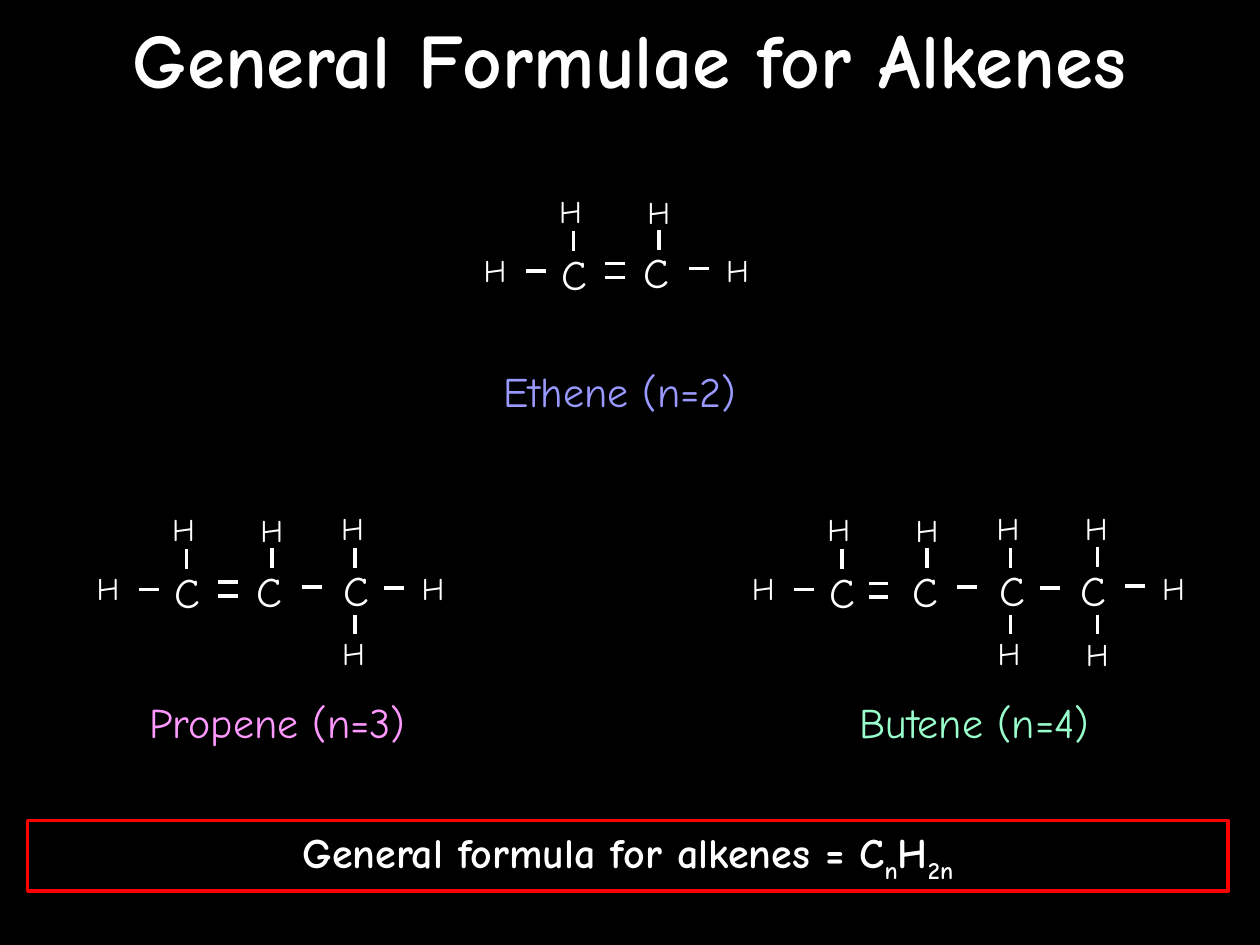
from lxml.etree import SubElement
from pptx import Presentation
from pptx.dml.color import RGBColor
from pptx.enum.shapes import MSO_CONNECTOR as CONN, MSO_SHAPE as SHAPE
from pptx.enum.text import MSO_ANCHOR as ANCHOR, PP_ALIGN as ALIGN
from pptx.oxml.ns import qn
from pptx.util import Cm, Pt

FONT, WHITE, BLACK, RED = "Comic Neue", "FFFFFF", "000000", "FF0000"
BOND = 0.4
CARBONS = [
    dict(atom=(1.57, -0.05), above=(1.52, -1.19), up=(2.06, -0.28)),
    dict(atom=(3.23, -0.08), above=(3.3, -1.17), up=(3.78, -0.3), right=(4.39, 0.48)),
    dict(atom=(4.98, -0.1), above=(4.93, -1.22), up=(5.46, -0.3), right=(6.05, 0.5), below=(4.95, 1.3)),
    dict(atom=(6.63, -0.1), above=(6.71, -1.22), up=(7.21, -0.33), right=(7.77, 0.46), below=(6.73, 1.32)),
]


def rgb(value):
    return RGBColor.from_string(value)


class Deck:
    """Draws styled text, bonds and molecules on the current slide."""

    def __init__(self, s):
        self.s = s
        self.shapes = s.shapes
        s.background.fill.solid()
        s.background.fill.fore_color.rgb = rgb(BLACK)

    def fill_text(self, sp, runs, size, color=WHITE, bold=False, align=ALIGN.CENTER, anchor=ANCHOR.TOP):
        tf = sp.text_frame
        tf.word_wrap = True
        tf.vertical_anchor = anchor
        p = tf.paragraphs[0]
        p.alignment = align
        p.font.name, p.font.size, p.font.bold = FONT, Pt(size), bold
        p.font.color.rgb = rgb(color)
        for text, subscript in runs:
            r = p.add_run()
            r.text = text
            if subscript:
                r._r.get_or_add_rPr().set("baseline", "-25000")

    def text(self, x, y, w, h, text, size, **style):
        sp = self.shapes.add_textbox(Cm(x), Cm(y), Cm(w), Cm(h))
        self.fill_text(sp, [(text, False)], size, **style)

    def frame(self, x, y, w, h, runs, size):
        sp = self.shapes.add_shape(SHAPE.RECTANGLE, Cm(x), Cm(y), Cm(w), Cm(h))
        sp.shadow.inherit = False
        sp.fill.background()
        sp.line.color.rgb = rgb(RED)
        sp.line.width = Pt(2)
        self.fill_text(sp, runs, size, bold=True)

    def atom(self, x, y, symbol):
        size, h = (24, 1.27) if symbol == "C" else (18, 1.02)
        self.text(x, y, 1, h, symbol, size, align=ALIGN.LEFT)

    def bond(self, x, y, dx=BOND, dy=0):
        c = self.shapes.add_connector(CONN.STRAIGHT, Cm(x), Cm(y), Cm(x + dx), Cm(y + dy))
        c.line.color.rgb = rgb(WHITE)
        c.line.width = Pt(2)
        SubElement(c._element.spPr, qn("a:effectLst"))

    def molecule(self, x, y, n, label, color, label_box, double=(2.69, 0.38)):
        self.shapes = self.s.shapes.add_group_shape().shapes
        self.text(*label_box, 1.27, label, 24, color=color)
        self.atom(x, y, "H")
        self.bond(x + 1.1, y + 0.53)
        for gap in (0, 0.28):
            self.bond(x + double[0], y + double[1] + gap)
        for carbon in CARBONS[:n]:
            at = {part: (x + dx, y + dy) for part, (dx, dy) in carbon.items()}
            self.atom(*at["atom"], "C")
            self.atom(*at["above"], "H")
            self.bond(*at["up"], 0, BOND)
            if "right" in at:
                self.bond(*at["right"])
            if "below" in at:
                self.atom(*at["below"], "H")
                self.bond(at["up"][0], y + 1.04, 0, BOND)
        self.atom(at["right"][0] + BOND + 0.1, y, "H")
        self.shapes = self.s.shapes


def main():
    prs = Presentation()
    prs.slide_width, prs.slide_height = Cm(25.4), Cm(19.05)
    deck = Deck(prs.slides.add_slide(prs.slide_layouts[6]))
    deck.text(0, 0, 25.4, 2.31, "General Formulae for Alkenes", 44, bold=True, anchor=ANCHOR.MIDDLE)
    formula = [("General formula for alkenes = C", False), ("n", True), ("H", False), ("2n", True)]
    deck.frame(0.56, 16.54, 24.2, 1.42, formula, 24)
    deck.molecule(1.7, 11.35, 3, "Propene (n=3)", "FF99FF", (2.49, 13.92, 6.2))
    deck.molecule(9.5, 4.93, 2, "Ethene (n=2)", "9999FF", (9.5, 7.24, 5.99))
    deck.molecule(14.91, 11.35, 4, "Butene (n=4)", "99FFCC", (16.51, 13.92, 6.27), double=(2.6, 0.41))
    prs.save("out.pptx")


if __name__ == "__main__":
    main()
